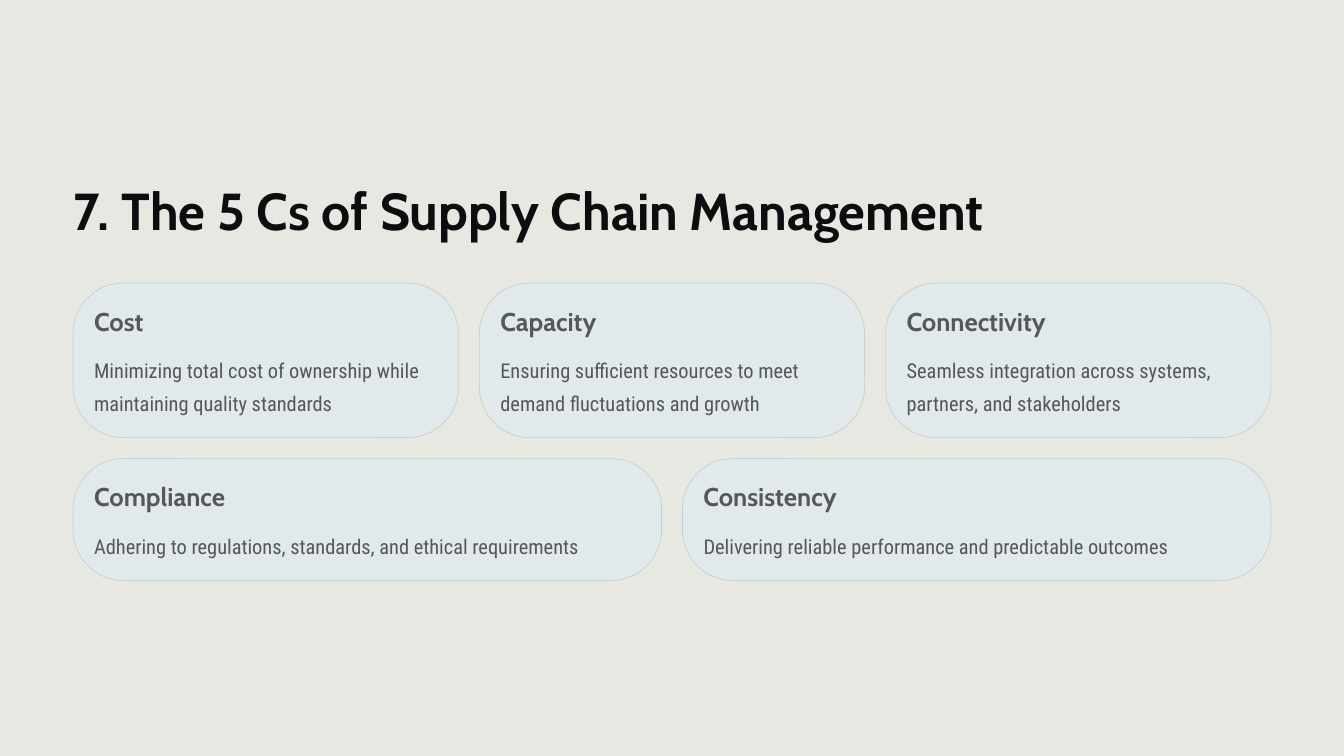
from pptx import Presentation
from pptx.dml.color import RGBColor
from pptx.enum.shapes import MSO_SHAPE
from pptx.util import Inches, Pt

ROUND = MSO_SHAPE.ROUNDED_RECTANGLE
HEAD, BODY = "Cabin", "Roboto Condensed"
PAPER, CARD, EDGE = "E8E8E3", "E1E9EA", "C7CFD0"
INK, GREY = "0C0D0F", "55575A"

TITLE = "7. The 5 Cs of Supply Chain Management"
ROWS = [
    (3.37, 1.84, True, [
        ("Cost", "Minimizing total cost of ownership while maintaining quality standards"),
        ("Capacity", "Ensuring sufficient resources to meet demand fluctuations and growth"),
        ("Connectivity", "Seamless integration across systems, partners, and stakeholders"),
    ]),
    (5.46, 1.45, False, [
        ("Compliance", "Adhering to regulations, standards, and ethical requirements"),
        ("Consistency", "Delivering reliable performance and predictable outcomes"),
    ]),
]
LEFT, WIDE, GAP, PAD, CURVE = 0.87, 14.26, 0.25, 0.25, 0.6

deck = Presentation()
deck.slide_width, deck.slide_height = Inches(16), Inches(9)
slide = deck.slides.add_slide(deck.slide_layouts[6])


def paint(fill, color):
    fill.solid()
    fill.fore_color.rgb = RGBColor.from_string(color)


def add_text(text, x, y, w, h, face, size, lead, color, bold=False, wrap=False):
    box = slide.shapes.add_textbox(Inches(x), Inches(y), Inches(w), Inches(h))
    frame = box.text_frame
    frame.word_wrap = wrap
    frame.margin_left = frame.margin_right = 0
    frame.margin_top = frame.margin_bottom = 0
    para = frame.paragraphs[0]
    para.line_spacing = Pt(lead)
    run = para.add_run()
    run.text = text
    font = run.font
    font.name, font.size, font.bold = face, Pt(size), bold
    paint(font.fill, color)


def add_card(x, y, w, h, name, note, wrap):
    card = slide.shapes.add_shape(ROUND, Inches(x), Inches(y), Inches(w), Inches(h))
    card.adjustments[0] = CURVE / h
    card.shadow.inherit = False
    paint(card.fill, CARD)
    paint(card.line.fill, EDGE)
    card.line.width = Pt(0.6)
    add_text(name, x + PAD, y + PAD, 3.1, 0.39, HEAD, 22, 27.5, GREY, bold=True)
    add_text(note, x + PAD, y + 0.79, w - 2 * PAD, h - 1.05, BODY, 17.5, 28.5, GREY, wrap=wrap)


paint(slide.background.fill, PAPER)
add_text(TITLE, LEFT, 2.1, 12.58, 0.78, HEAD, 44.5, 55.5, INK, bold=True)
for top, high, wrap, cards in ROWS:
    wide = (WIDE - GAP * (len(cards) - 1)) / len(cards)
    for i, (name, note) in enumerate(cards):
        add_card(LEFT + i * (wide + GAP), top, wide, high, name, note, wrap)

deck.save("out.pptx")
